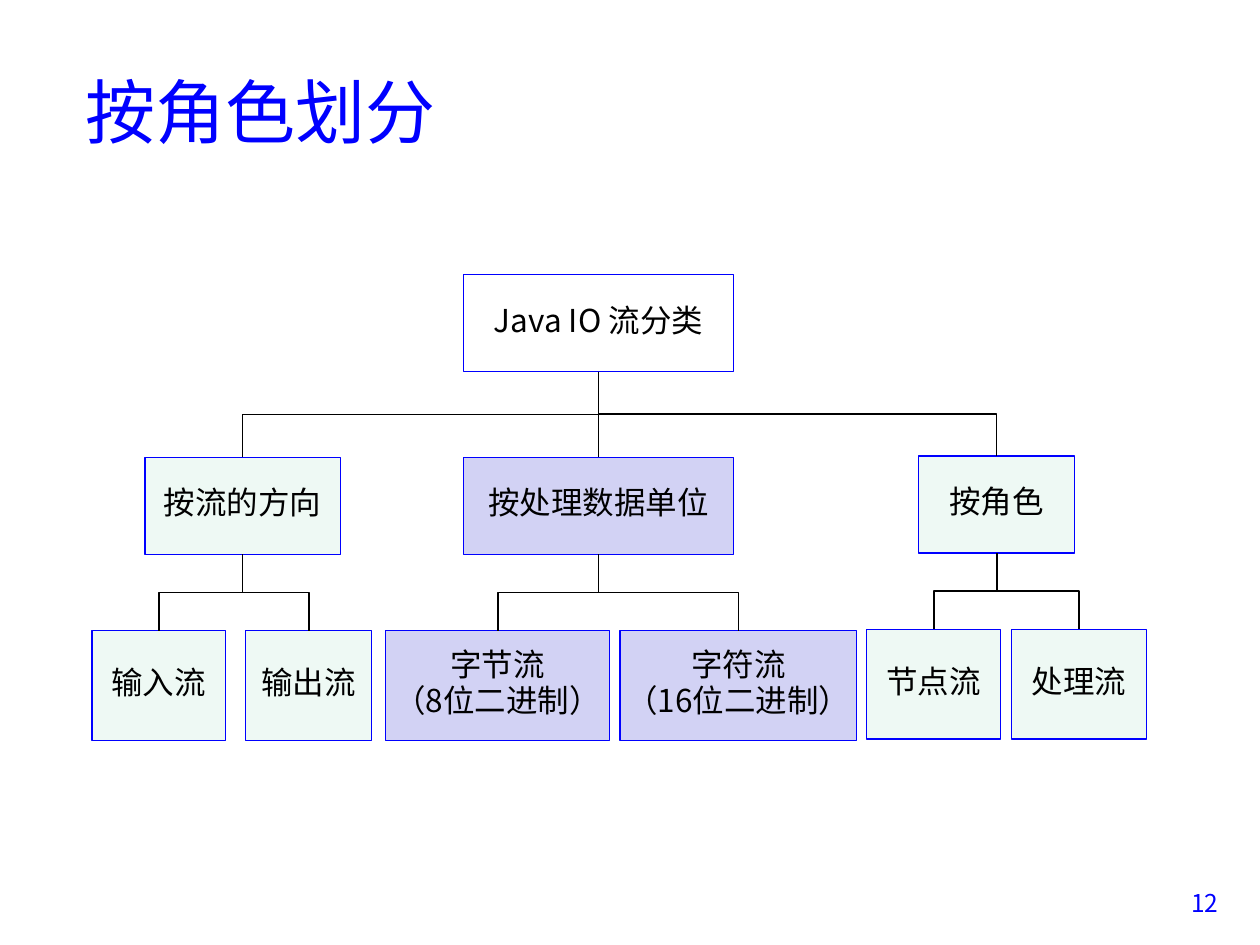
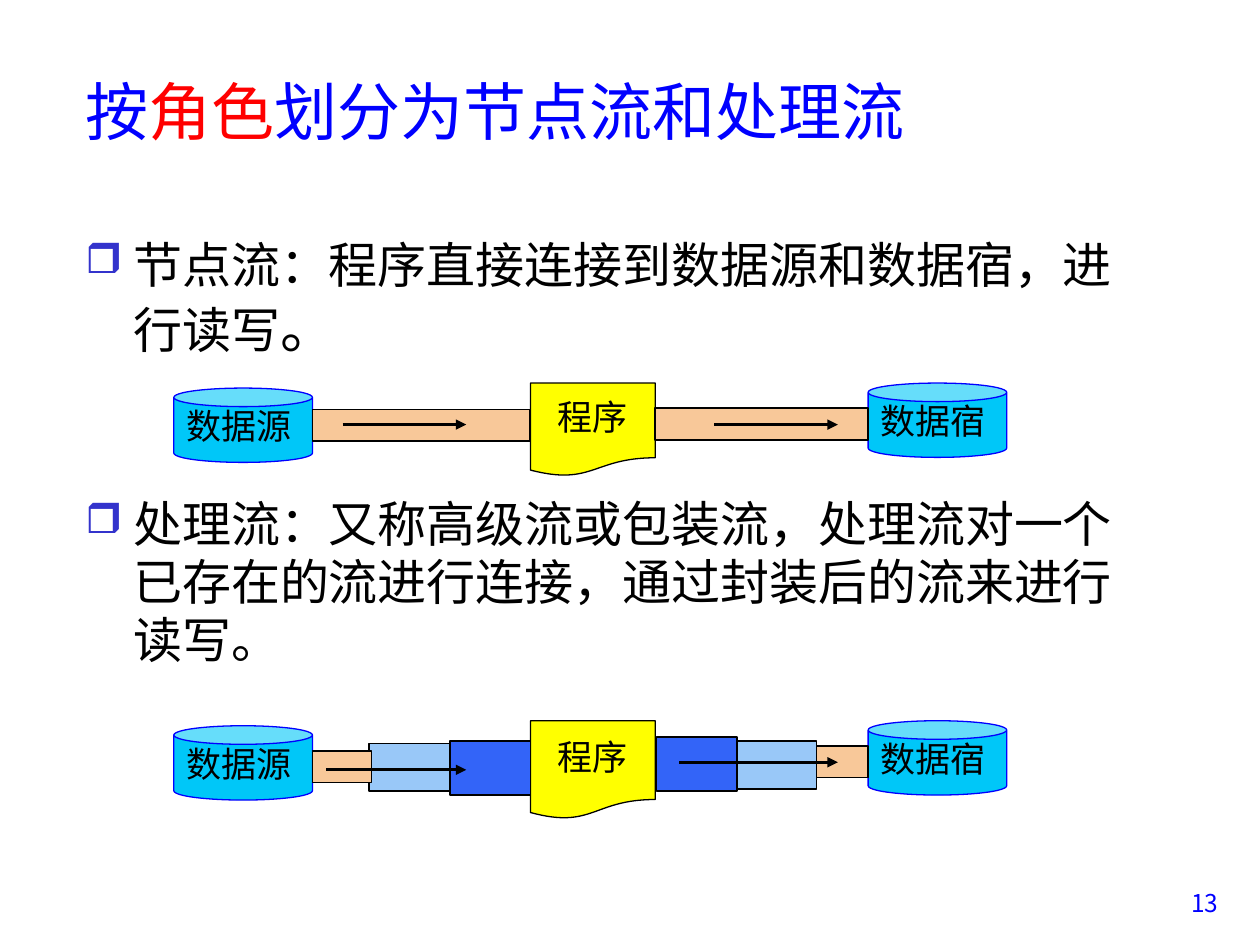
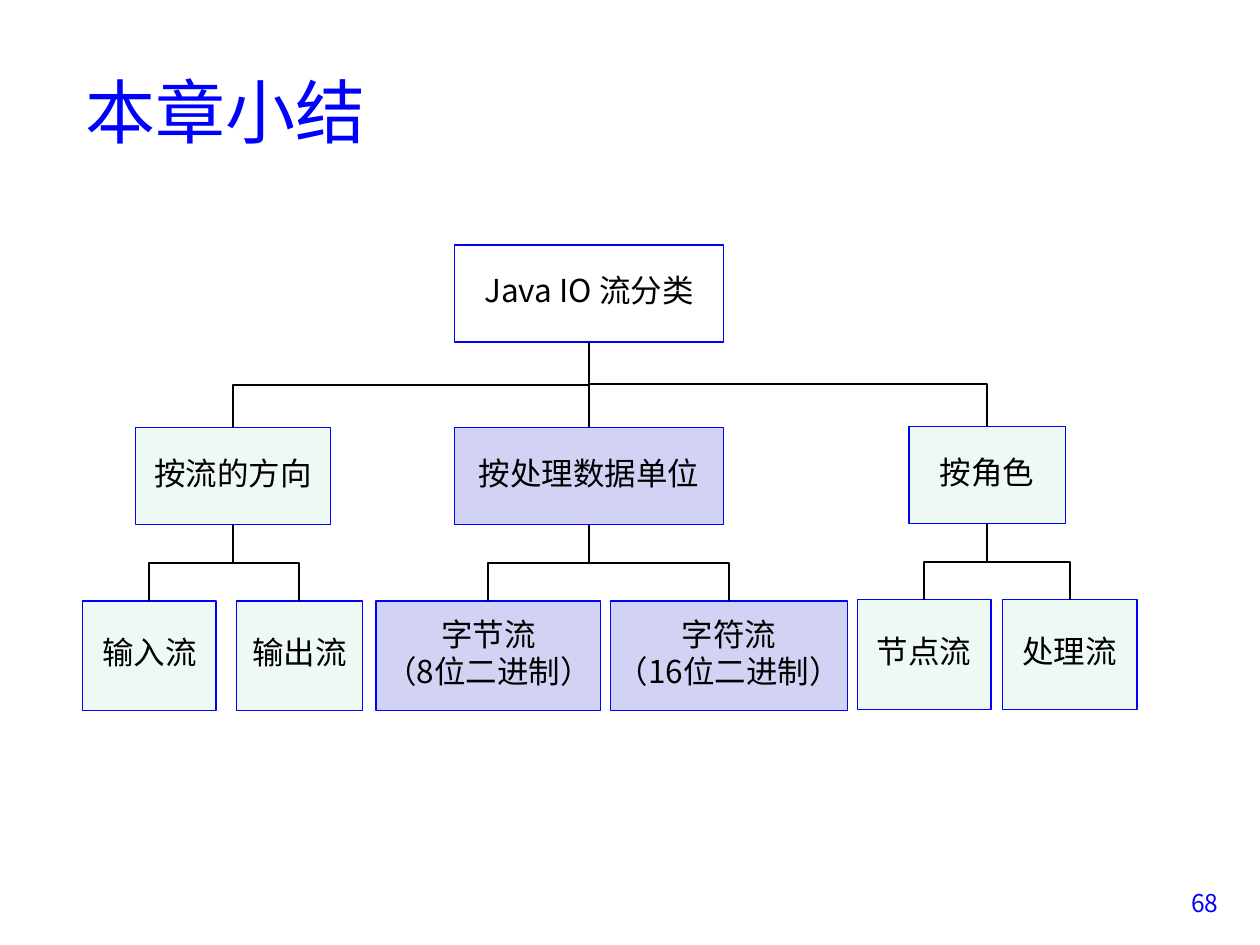
from lxml.etree import SubElement as Sub
from pptx import Presentation
from pptx.dml.color import RGBColor as Rgb
from pptx.enum.shapes import MSO_CONNECTOR as Conn, MSO_SHAPE as Form
from pptx.enum.text import MSO_ANCHOR as Anchor, MSO_AUTO_SIZE as Fit, PP_ALIGN as Align
from pptx.oxml.ns import qn
from pptx.util import Emu, Inches, Pt

COLS, ROWS = 100, 75
FONT = "Noto Sans CJK SC"
HUES = {
    "blue": "0000FF", "red": "FF0000", "black": "000000",
    "mint": "EEF9F4", "lilac": "D2D2F4", "cyan": "00C7F8",
    "yellow": "FFFF00", "tan": "F8C899", "sky": "99C8F8",
    "royal": "3364F8", "mark": "3333CC",
}


def hue(name):
    return Rgb.from_string(HUES[name])


class Deck:
    def __init__(self):
        self.prs = Presentation()
        self.prs.slide_width, self.prs.slide_height = Inches(10), Inches(7.5)
        self.slide = None

    def x(self, cols):
        return Emu(round(self.prs.slide_width * cols / COLS))

    def y(self, rows):
        return Emu(round(self.prs.slide_height * rows / ROWS))

    def area(self, left, top, width, height):
        return self.x(left), self.y(top), self.x(width), self.y(height)

    def page(self, number, *title, size=40):
        """Start a slide; each title part is a (text, colour) pair."""
        self.slide = self.prs.slides.add_slide(self.prs.slide_layouts[5])
        head = self.slide.shapes.title
        head.left, head.top, head.width, head.height = self.area(5.8, 2.5, 85, 12.5)
        frame = head.text_frame
        frame.auto_size, frame.vertical_anchor = Fit.NONE, Anchor.MIDDLE
        para = frame.paragraphs[0]
        para.alignment = Align.LEFT
        for text, color in title:
            self.run(para, text, size, color)
        para = self.text(91, 70, 6.7, 5).paragraphs[0]
        para.alignment = Align.RIGHT
        self.run(para, number, 14, "blue")

    def run(self, para, text, size, color="black"):
        run = para.add_run()
        run.text = text
        font = run.font
        font.name, font.size, font.color.rgb = FONT, Pt(size), hue(color)
        Sub(font._element, qn("a:ea")).set("typeface", FONT)

    def text(self, *area):
        frame = self.slide.shapes.add_textbox(*self.area(*area)).text_frame
        frame.word_wrap = True
        return frame

    def hang(self, para, lines, before):
        """Set a hanging indent, line spacing and space before."""
        para.line_spacing, para.space_before = lines, Pt(before)
        props = para._p.get_or_add_pPr()
        props.set("marL", str(Inches(0.38)))
        props.set("indent", str(-Inches(0.38)))
        return props

    def item(self, para, runs, lines, before):
        props = self.hang(para, Pt(lines), before)
        tint = Sub(props, qn("a:buClr"))
        Sub(tint, qn("a:srgbClr")).set("val", HUES["mark"])
        Sub(props, qn("a:buSzPct")).set("val", "85000")
        Sub(props, qn("a:buChar")).set("char", "❒")
        for text, size in runs:
            self.run(para, text, size)

    def shape(self, form, area, fill=None, edge="blue", width=0.75,
              text="", size=18, align=Align.CENTER):
        shape = self.slide.shapes.add_shape(form, *self.area(*area))
        shape.shadow.inherit = False
        if fill:
            shape.fill.solid()
            shape.fill.fore_color.rgb = hue(fill)
        else:
            shape.fill.background()
        shape.line.color.rgb, shape.line.width = hue(edge), Pt(width)
        if text:
            self.label(shape.text_frame, text.split("\n"), size, align)
        return shape

    def label(self, frame, lines, size, align):
        frame.word_wrap, frame.vertical_anchor = True, Anchor.MIDDLE
        if len(lines) > 1:
            frame.margin_left = frame.margin_right = 0
            frame.margin_top = frame.margin_bottom = 0
        for i, line in enumerate(lines):
            para = frame.add_paragraph() if i else frame.paragraphs[0]
            para.alignment = align
            self.hang(para, 0.8, size * 0.2)
            self.run(para, line, size)

    def wire(self, kind, ends, width):
        line = self.slide.shapes.add_connector(kind, *ends)
        line.line.color.rgb, line.line.width = hue("black"), Pt(width)
        Sub(line._element.spPr, qn("a:effectLst"))
        return line

    def arrow(self, start, end, row):
        ends = self.x(start), self.y(row), self.x(end), self.y(row)
        line = self.wire(Conn.STRAIGHT, ends, 1.75)
        Sub(line.line._get_or_add_ln(), qn("a:tailEnd")).set("type", "triangle")

    def link(self, top, kid):
        """Join the bottom of one box to the top of another, bending halfway."""
        x1, y1 = top.left + top.width // 2, top.top + top.height
        x2, y2 = kid.left + kid.width // 2, kid.top
        kind = Conn.STRAIGHT if x1 == x2 else Conn.ELBOW
        line = self.wire(kind, (x1, y1, x2, y2), 1)
        line.begin_connect(top, 2)
        line.end_connect(kid, 0)
        if x1 == x2:
            return
        # A vertical elbow is a horizontal one turned a quarter about its centre.
        line.width, line.height = y2 - y1, abs(x2 - x1)
        line.left = (x1 + x2 - line.width) // 2
        line.top = (y1 + y2 - line.height) // 2
        turn, flip = ("5400000", "0") if x2 < x1 else ("16200000", "1")
        frame = line._element.spPr.find(qn("a:xfrm"))
        for key, value in (("rot", turn), ("flipH", flip), ("flipV", "0")):
            frame.set(key, value)


# Each branch: text, fill, left, top, width, then leaves as (text, left, width).
BRANCHES = [
    ("按流的方向", "mint", 11.5, 36.3, 15.5,
     [("输入流", 7.3, 10.6), ("输出流", 19.5, 10)]),
    ("按处理数据单位", "lilac", 36.8, 36.3, 21.4,
     [("字节流\n（8位二进制）", 30.6, 17.8), ("字符流\n（16位二进制）", 49.2, 18.8)]),
    ("按角色", "mint", 72.9, 36.2, 12.4,
     [("节点流", 68.8, 10.6), ("处理流", 80.3, 10.7)]),
]


def tree(deck, dx=0, dy=0):
    def box(text, fill, left, top, width, height):
        area = left + dx, top + dy, width, height
        return deck.shape(Form.RECTANGLE, area, fill, text=text)

    root = box("Java IO 流分类", None, 36.8, 21.8, 21.4, 7.7)
    for text, fill, left, top, width, leaves in BRANCHES:
        node = box(text, fill, left, top, width, 7.7)
        deck.link(root, node)
        for name, start, span in leaves:
            deck.link(node, box(name, fill, start, top + 13.75, span, 8.7))


def flow(deck, top, tall, pipes, arrows):
    """Draw source, program and sink, joined by pipes given as (fill, area)."""
    for text, left, row in (("数据源", 13.8, top + 0.4), ("数据宿", 68.9, top)):
        deck.shape(Form.CAN, (left, row, 11, 5.9), "cyan",
                   text=text, size=20, align=Align.LEFT)
    deck.shape(Form.FLOWCHART_DOCUMENT, (42.1, top, 9.9, tall), "yellow", "black",
               text="程序", size=20)
    for fill, area in pipes:
        deck.shape(Form.RECTANGLE, area, fill, "black", 1)
    for arrow in arrows:
        deck.arrow(*arrow)


def roles(deck):
    deck.page("13", ("按", "blue"), ("角色", "red"),
              ("划分为节点流和处理流", "blue"), size=36)
    body = deck.text(5.8, 17.5, 85, 50.8)
    deck.item(body.paragraphs[0],
              [("节点流：程序直接连接到数据源和数据宿，进行读写", 28), ("。", 32)], 38, 0)
    deck.item(body.add_paragraph(),
              [("处理流：又称高级流或包装流，处理流对一个已存在的流进行连接，"
                "通过封装后的流来进行读写。", 28)], 33.2, 77)
    flow(deck, 30.4, 7.4,
         [("tan", (24.8, 32.5, 17.3, 2.5)), ("tan", (52, 32.4, 16.9, 2.5))],
         [(27.2, 37, 33.7), (56.7, 66.5, 33.7)])
    flow(deck, 57.2, 7.8,
         [("sky", (29.3, 59, 6.4, 3.8)), ("royal", (35.7, 58.8, 6.4, 4.3)),
          ("sky", (58.4, 58.8, 6.4, 3.8)), ("royal", (52.1, 58.5, 6.4, 4.3)),
          ("tan", (24.8, 59.6, 4.7, 2.5)), ("tan", (64.8, 59.2, 4.1, 2.5))],
         [(25.9, 37, 61.1), (53.9, 66.5, 60.5)])


def main():
    deck = Deck()
    deck.page("12", ("按角色划分", "blue"))
    tree(deck)
    roles(deck)
    deck.page("68", ("本章小结", "blue"))
    tree(deck, -0.75, -2.35)
    deck.prs.save("out.pptx")


if __name__ == "__main__":
    main()
